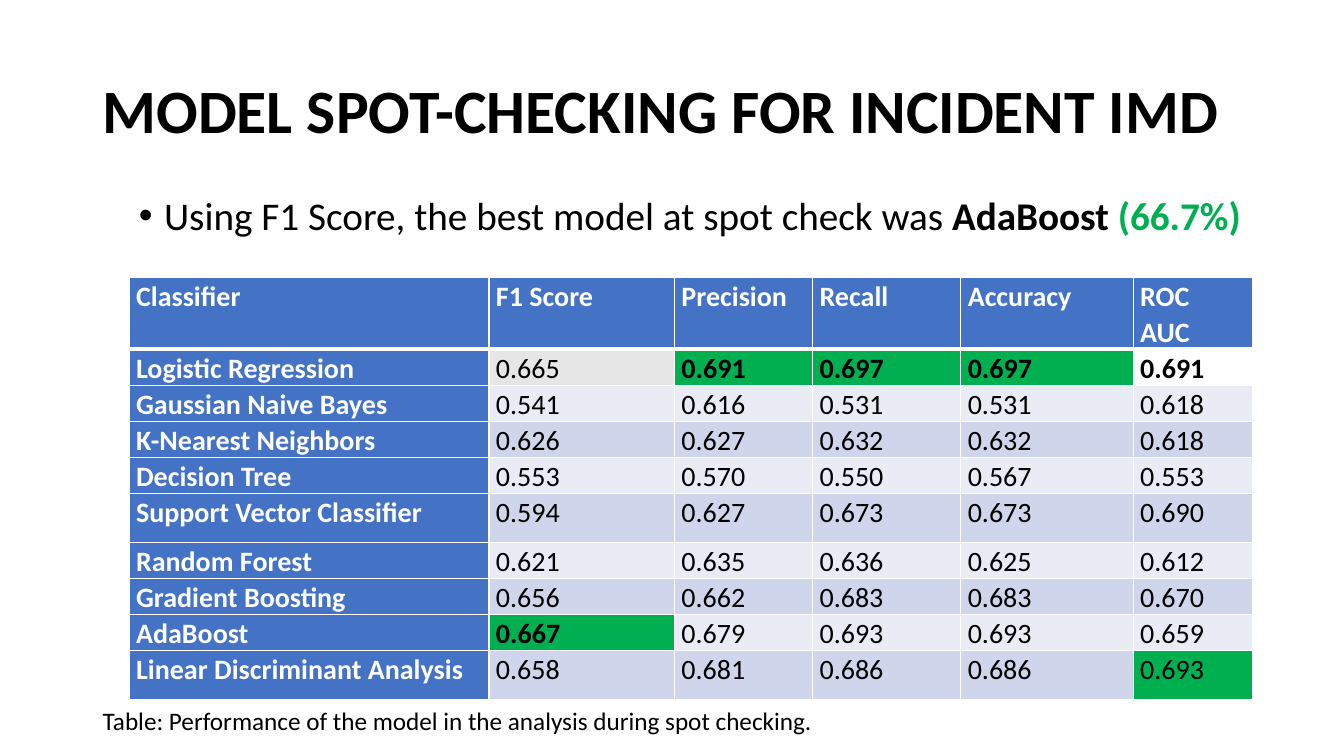
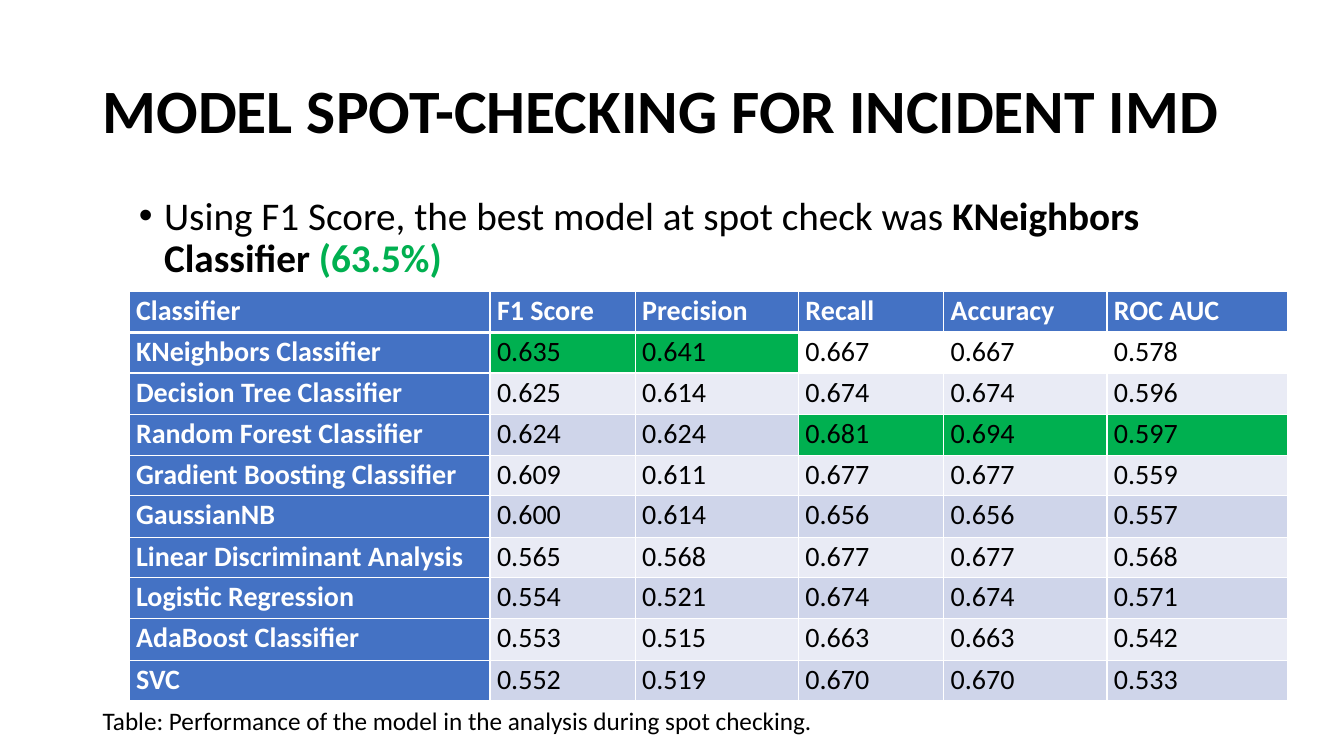
from lxml import etree
from pptx import Presentation
from pptx.dml.color import RGBColor
from pptx.enum.text import MSO_ANCHOR, MSO_AUTO_SIZE
from pptx.oxml.ns import qn
from pptx.util import Emu, Pt

PX = 9144  # EMU per px, 100 px to the inch
SLIDE_WIDTH, SLIDE_HEIGHT = 1333, 750
BLANK_LAYOUT = 6
TOP, MIDDLE = MSO_ANCHOR.TOP, MSO_ANCHOR.MIDDLE
NO_FIT, GROW = MSO_AUTO_SIZE.NONE, MSO_AUTO_SIZE.SHAPE_TO_FIT_TEXT

# Colours
BLACK = RGBColor(0x00, 0x00, 0x00)
WHITE = RGBColor(0xFF, 0xFF, 0xFF)
BLUE = RGBColor(0x44, 0x72, 0xC4)
GREEN = RGBColor(0x00, 0xB0, 0x50)
GREY = RGBColor(0xE7, 0xE6, 0xE6)
BANDS = (RGBColor(0xE9, 0xEB, 0xF5), RGBColor(0xCF, 0xD5, 0xEA))

# Text shared by the slides
TITLE = "MODEL SPOT-CHECKING FOR INCIDENT IMD"
FINDING = "Using F1 Score, the best model at spot check was "
CAPTION = "Table: Performance of the model in the analysis during spot checking."
HEADINGS = ("Classifier", "F1 Score", "Precision", "Recall", "Accuracy", "ROC AUC")

# Scores by classifier, in the order of the headings
FIRST_SCORES = (
    ("Logistic Regression", "0.665", "0.691", "0.697", "0.697", "0.691"),
    ("Gaussian Naive Bayes", "0.541", "0.616", "0.531", "0.531", "0.618"),
    ("K-Nearest Neighbors", "0.626", "0.627", "0.632", "0.632", "0.618"),
    ("Decision Tree", "0.553", "0.570", "0.550", "0.567", "0.553"),
    ("Support Vector Classifier", "0.594", "0.627", "0.673", "0.673", "0.690"),
    ("Random Forest", "0.621", "0.635", "0.636", "0.625", "0.612"),
    ("Gradient Boosting", "0.656", "0.662", "0.683", "0.683", "0.670"),
    ("AdaBoost", "0.667", "0.679", "0.693", "0.693", "0.659"),
    ("Linear Discriminant Analysis", "0.658", "0.681", "0.686", "0.686", "0.693"),
)
SECOND_SCORES = (
    ("KNeighbors Classifier", "0.635", "0.641", "0.667", "0.667", "0.578"),
    ("Decision Tree Classifier", "0.625", "0.614", "0.674", "0.674", "0.596"),
    ("Random Forest Classifier", "0.624", "0.624", "0.681", "0.694", "0.597"),
    ("Gradient Boosting Classifier", "0.609", "0.611", "0.677", "0.677", "0.559"),
    ("GaussianNB", "0.600", "0.614", "0.656", "0.656", "0.557"),
    ("Linear Discriminant Analysis", "0.565", "0.568", "0.677", "0.677", "0.568"),
    ("Logistic Regression", "0.554", "0.521", "0.674", "0.674", "0.571"),
    ("AdaBoost Classifier", "0.553", "0.515", "0.663", "0.663", "0.542"),
    ("SVC", "0.552", "0.519", "0.670", "0.670", "0.533"),
)


def px(length):
    return Emu(length * PX)


def set_values(target, values):
    for key, value in values.items():
        setattr(target, key, value)


class Deck:
    """Holds the style and the current slide."""

    font_name = "Calibri"
    cell_format = {"margin_left": px(7), "margin_right": px(7),
                   "margin_top": 0, "margin_bottom": 0}

    def __init__(self):
        self.presentation = Presentation()
        set_values(self.presentation, {"slide_width": px(SLIDE_WIDTH),
                                       "slide_height": px(SLIDE_HEIGHT)})
        self.slide = None

    def new_slide(self):
        layout = self.presentation.slide_layouts[BLANK_LAYOUT]
        self.slide = self.presentation.slides.add_slide(layout)

    def add_text(self, paragraph, text, size, color=BLACK, bold=False):
        run = paragraph.add_run()
        run.text = text
        set_values(run.font, {"name": self.font_name, "size": Pt(size), "bold": bold})
        run.font.color.rgb = color

    def text_box(self, box, spacing=1.0, anchor=TOP, fit=NO_FIT):
        frame = self.slide.shapes.add_textbox(*map(px, box)).text_frame
        set_values(frame, {"word_wrap": True, "auto_size": fit, "vertical_anchor": anchor})
        paragraph = frame.paragraphs[0]
        paragraph.line_spacing = spacing
        return paragraph

    def title(self, text):
        self.add_text(self.text_box((92, 40, 1150, 145), 0.9, MIDDLE), text, 44, bold=True)

    def finding(self, model, score):
        paragraph = self.text_box((128, 190, 1150, 74), 0.9)
        properties = paragraph._p.get_or_add_pPr()
        properties.set("marL", str(px(25)))
        properties.set("indent", str(px(-25)))
        etree.SubElement(properties, qn("a:buFont"), typeface="Arial")
        etree.SubElement(properties, qn("a:buChar"), char="•")
        self.add_text(paragraph, FINDING, 28)
        self.add_text(paragraph, f"{model} ", 28, bold=True)
        self.add_text(paragraph, f"({score})", 28, GREEN, True)

    def caption(self, text):
        self.add_text(self.text_box((92, 695, 1206, 40), fit=GROW), text, 18)

    def cell(self, cell, text, fill, color, bold, bottom_line):
        set_values(cell, self.cell_format)
        properties = cell._tc.get_or_add_tcPr()
        # Borders come before the fill in the cell properties
        for side, width in (("L", 1), ("R", 1), ("T", 1), ("B", bottom_line)):
            line = etree.SubElement(properties, qn(f"a:ln{side}"), w=str(Pt(width)))
            line_fill = etree.SubElement(line, qn("a:solidFill"))
            etree.SubElement(line_fill, qn("a:srgbClr"), val=str(WHITE))
        cell.fill.solid()
        cell.fill.fore_color.rgb = fill
        paragraph = cell.text_frame.paragraphs[0]
        paragraph.line_spacing = 1.07
        self.add_text(paragraph, text, 20, color, bold)

    def score_table(self, top, widths, heights, scores, bold_cells=(), muted_cells=()):
        rows = (HEADINGS, *scores)
        table = self.slide.shapes.add_table(
            len(rows), len(HEADINGS), px(128), px(top),
            px(sum(widths)), px(sum(heights))).table
        for column, width in zip(table.columns, widths):
            column.width = px(width)
        for row, height in zip(table.rows, heights):
            row.height = px(height)
        # The best score of each column is green
        best = [max(column) for column in zip(*scores)]
        for r, row in enumerate(rows):
            for c, text in enumerate(row):
                label = r == 0 or c == 0
                if label:
                    fill = BLUE
                elif text == best[c]:
                    fill = GREEN
                elif (r, c) in muted_cells:
                    fill = GREY
                else:
                    fill = WHITE if r == 1 else BANDS[r % 2]
                self.cell(table.cell(r, c), text, fill, WHITE if label else BLACK,
                          label or (r, c) in bold_cells, 3 if r == 0 else 1)

    def spot_check(self, model, score, **table):
        self.new_slide()
        self.title(TITLE)
        self.finding(model, score)
        self.caption(CAPTION)
        self.score_table(**table)


def main():
    deck = Deck()
    deck.spot_check(
        "AdaBoost", "66.7%", top=275, scores=FIRST_SCORES,
        widths=(357, 184, 137, 147, 171, 118),
        heights=(62, 35, 35, 35, 35, 49, 35, 35, 35, 49),
        bold_cells={(1, 2), (1, 3), (1, 4), (1, 5), (8, 1)},
        muted_cells={(1, 1)})
    deck.spot_check(
        "KNeighbors Classifier", "63.5%", top=289, scores=SECOND_SCORES,
        widths=(358, 144, 162, 144, 162, 179),
        heights=(41, 40, 41, 41, 40) * 2)
    deck.presentation.save("out.pptx")


if __name__ == "__main__":
    main()
